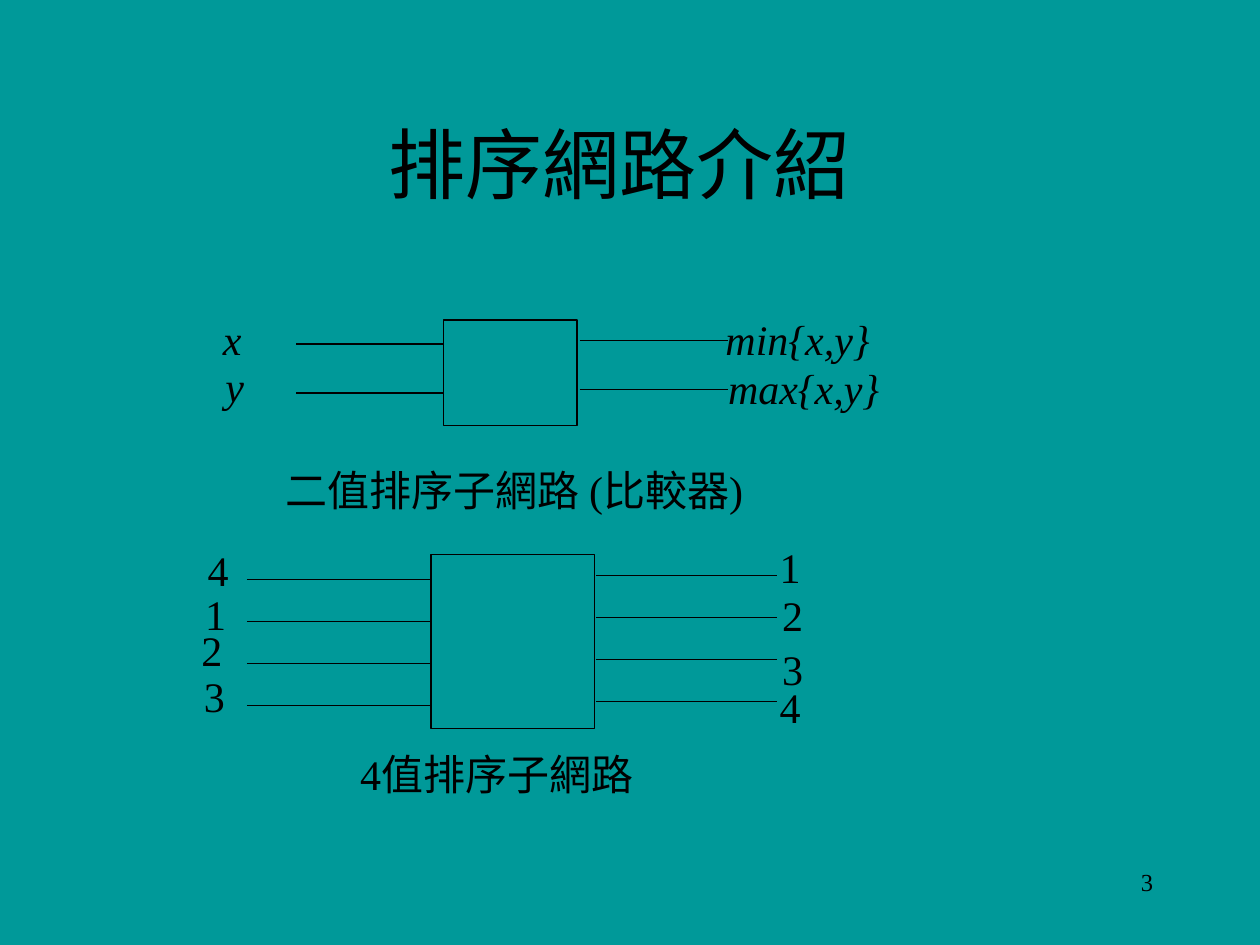
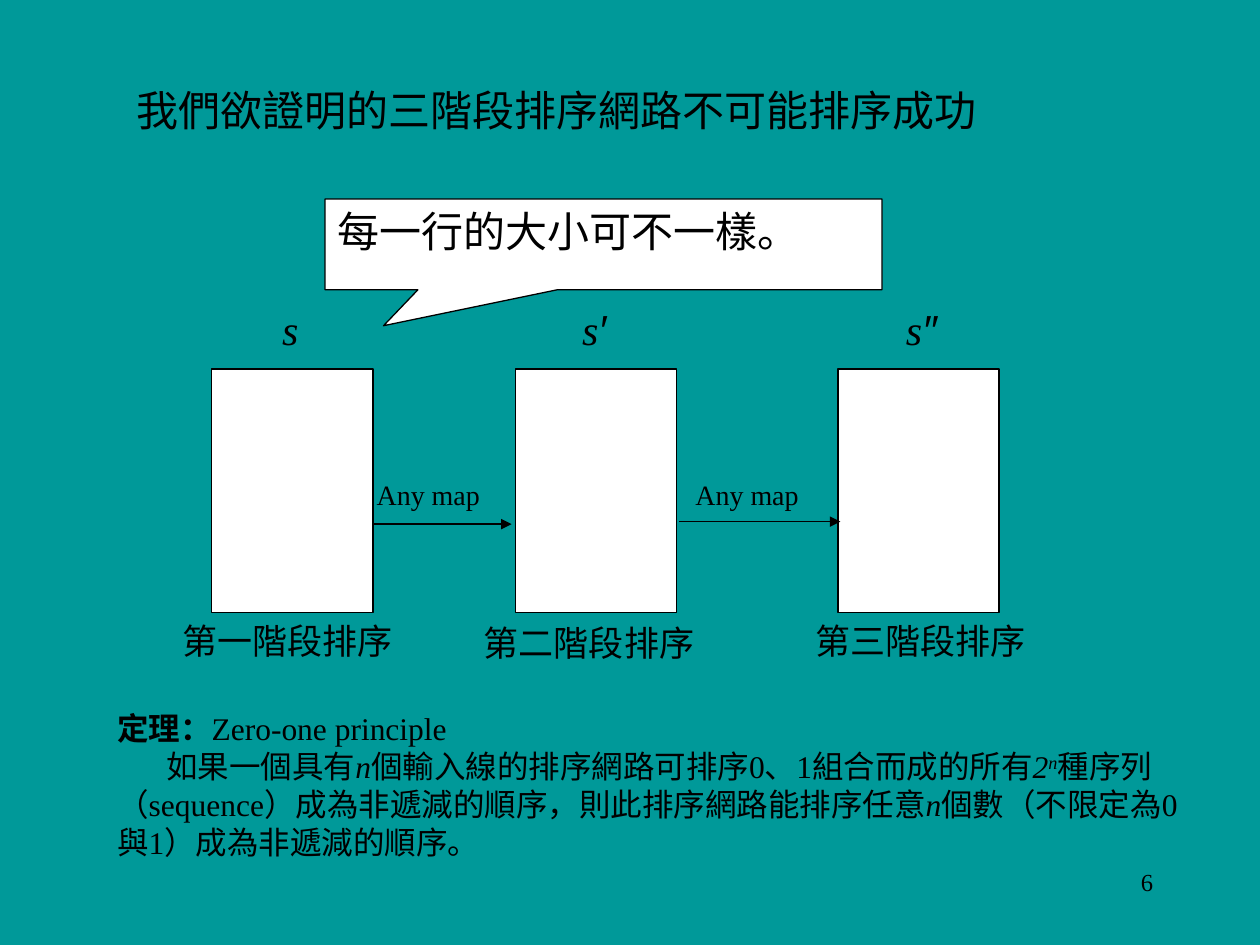
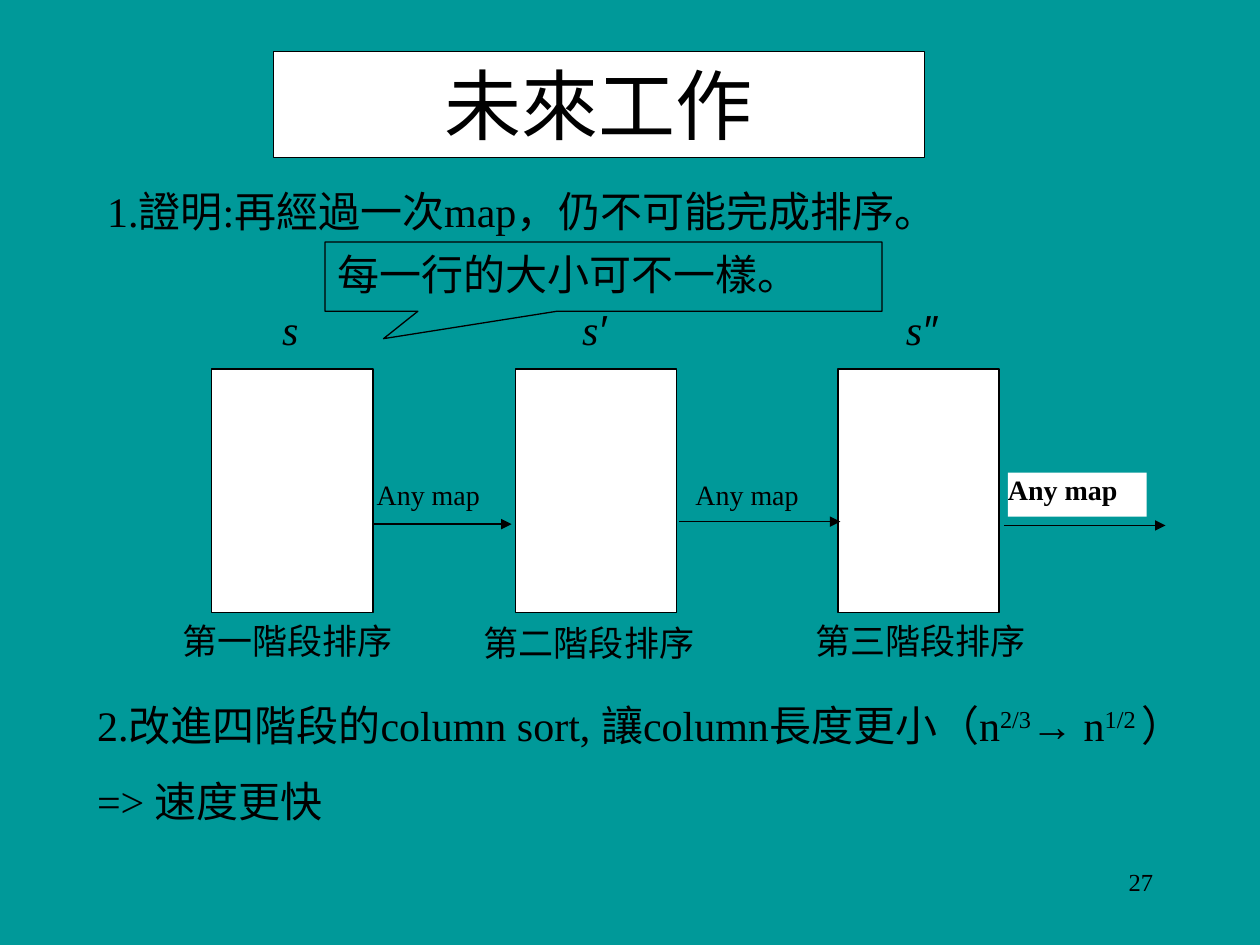
"""Build three slides on sorting networks and the column sort."""
from dataclasses import dataclass
from typing import NamedTuple

from lxml import etree
from pptx import Presentation
from pptx import util as u
from pptx.dml.color import RGBColor
from pptx.enum import shapes, text
from pptx.oxml.ns import qn
from pptx.slide import Slide

COLUMNS, ROWS = 100, 75
WIDTH, HEIGHT = u.Inches(10), u.Inches(7.5)
LEFT, CENTER, RIGHT, JUSTIFY = (
    text.PP_ALIGN.LEFT, text.PP_ALIGN.CENTER, text.PP_ALIGN.RIGHT, text.PP_ALIGN.JUSTIFY)


@dataclass(frozen=True)
class Theme:
    """Colours, fonts and type sizes of the deck."""
    ground: RGBColor = RGBColor(0x00, 0x99, 0x99)
    ink: RGBColor = RGBColor(0x00, 0x00, 0x00)
    paper: RGBColor = RGBColor(0xFF, 0xFF, 0xFF)
    serif: str = "Times New Roman"
    sans: str = "Arial"
    title: int = 44
    body: int = 24
    stage: int = 20
    theorem: int = 18
    note: int = 16
    number: int = 14
    stroke: float = 0.75


THEME = Theme()


class Place(NamedTuple):
    """Left, top, width and height in grid columns and rows."""
    x: float
    y: float
    w: float
    h: float


class Span(NamedTuple):
    """A stretch of text with one format."""
    text: str
    italic: bool = False
    bold: bool = False
    raised: bool = False
    font: str = THEME.serif


class Label(NamedTuple):
    """A short text and its top left corner."""
    text: str
    x: float
    y: float


@dataclass(frozen=True)
class Network:
    """A sorting box with its wires, labels and caption."""
    box: Place
    left: tuple[float, float]
    right: tuple[float, float]
    left_y: float
    right_y: float
    pitch: float
    inputs: tuple[Label, ...]
    outputs: tuple[Label, ...]
    caption: Label
    italic: bool


@dataclass(frozen=True)
class Stage:
    """A sorting stage with its symbol and caption."""
    x: float
    symbol_x: float
    prime: str
    caption: Label


NETWORKS = (
    Network(Place(35.2, 25.4, 10.6, 8.4), (23.5, 35.2), (46, 57.8), 27.3, 27, 3.9,
            (Label("x", 16.7, 24.4), Label("y", 16.9, 28.1)),
            (Label("min{x,y}", 56.6, 24.4), Label("max{x,y}", 56.8, 28.3)),
            Label("二值排序子網路 (比較器)", 21.7, 36.4), True),
    Network(Place(34.2, 44, 13, 13.8), (19.6, 34.1), (47.3, 61.7), 46, 45.7, 3.33,
            (Label("4", 15.5, 42.7), Label("1", 15.3, 46.2),
             Label("2", 15, 49.1), Label("3", 15.2, 52.7)),
            (Label("1", 60.9, 42.5), Label("2", 61.1, 46.3),
             Label("3", 61.1, 50.6), Label("4", 60.9, 53.6)),
            Label("4值排序子網路", 27.6, 58.9), False),
)
STAGES = (
    Stage(16.8, 22.4, "", Label("第一階段排序", 14.5, 49.2)),
    Stage(40.9, 46.2, "′", Label("第二階段排序", 38.4, 49.3)),
    Stage(66.5, 71.9, "″", Label("第三階段排序", 64.7, 49.2)),
)
THEOREM = (
    (Span("定理：", bold=True), Span("Zero-one principle")),
    (Span("如果一個具有"), Span("n", italic=True),
     Span("個輸入線的排序網路可排序0、1組合而成的所有"),
     Span("2", italic=True), Span("n", italic=True, raised=True),
     Span("種序列（sequence）成為非遞減的順序，則此排序網路能排序任意"),
     Span("n", italic=True), Span("個數（不限定為0與1）成為非遞減的順序。")),
)
IMPROVEMENT = (
    (Span("2.改進四階段的column sort, 讓column長度更小（n"), Span("2/3", raised=True),
     Span("→", font=THEME.sans), Span(" n"), Span("1/2 ", raised=True), Span("）")),
    (Span("=> 速度更快"),),
)


def across(columns: float) -> int:
    """Turn grid columns into a length."""
    return round(WIDTH * columns / COLUMNS)


def down(rows: float) -> int:
    """Turn grid rows into a length."""
    return round(HEIGHT * rows / ROWS)


def put(shape, place: Place) -> None:
    """Move and size a shape on the grid."""
    shape.left, shape.top = across(place.x), down(place.y)
    shape.width, shape.height = across(place.w), down(place.h)


def write(shape, content, *, size: float = THEME.body, align=LEFT, inset: bool = True,
          middle: bool = False, italic: bool = False, bold: bool = False,
          gap: float = 0, indents: tuple[float, ...] = ()) -> None:
    """Fill a shape with a string or with paragraphs of spans."""
    paragraphs = ((Span(content, italic, bold),),) if isinstance(content, str) else content
    frame = shape.text_frame
    frame.word_wrap = True
    frame.auto_size = text.MSO_AUTO_SIZE.NONE
    frame.vertical_anchor = text.MSO_ANCHOR.MIDDLE if middle else text.MSO_ANCHOR.TOP
    frame.margin_left = frame.margin_right = u.Inches(0.1 if inset else 0)
    frame.margin_top = frame.margin_bottom = u.Inches(0.05 if inset else 0)
    for index, spans in enumerate(paragraphs):
        para = frame.add_paragraph() if index else frame.paragraphs[0]
        para.alignment = align
        para.space_before = u.Pt(gap if index else 0)
        props = para._p.get_or_add_pPr()
        props.set("marL", "0")
        props.set("indent", str(across(indents[index]) if indents else 0))
        etree.SubElement(props, qn("a:buNone"))
        for span in spans:
            run = para.add_run()
            run.text = span.text
            font = run.font
            font.name, font.size = span.font, u.Pt(size)
            font.bold, font.italic = span.bold, span.italic
            font.color.rgb = THEME.ink
            if span.raised:
                run._r.get_or_add_rPr().set("baseline", "30000")


def add_text(page: Slide, content, place: Place, **style) -> None:
    """Add a text box."""
    box = page.shapes.add_textbox(0, 0, 0, 0)
    put(box, place)
    write(box, content, **style)


def paint(shape, *, filled: bool = True, outlined: bool = True) -> None:
    """Give a shape the paper fill and the ink outline."""
    if filled:
        shape.fill.solid()
        shape.fill.fore_color.rgb = THEME.paper
    else:
        shape.fill.background()
    if outlined:
        shape.line.color.rgb = THEME.ink
        shape.line.width = u.Pt(THEME.stroke)
    else:
        shape.line.fill.background()


def add_box(page: Slide, place: Place, *, kind=shapes.MSO_SHAPE.RECTANGLE,
            filled: bool = True, outlined: bool = True):
    """Add a flat preset shape."""
    box = page.shapes.add_shape(kind, 0, 0, 0, 0)
    put(box, place)
    box.shadow.inherit = False
    paint(box, filled=filled, outlined=outlined)
    return box


def add_wire(page: Slide, start: float, end: float, y: float, *, arrow: bool = False) -> None:
    """Add a level line, with an arrowhead if asked."""
    wire = page.shapes.add_connector(
        shapes.MSO_CONNECTOR.STRAIGHT, across(start), down(y), across(end), down(y))
    wire.line.color.rgb = THEME.ink
    wire.line.width = u.Pt(THEME.stroke)
    props = wire._element.spPr
    if arrow:
        etree.SubElement(props.find(qn("a:ln")), qn("a:tailEnd"), type="triangle")
    etree.SubElement(props, qn("a:effectLst"))


def add_page(deck, layout: int, number: int) -> Slide:
    """Add a slide with its page number."""
    page = deck.slides.add_slide(deck.slide_layouts[layout])
    add_text(page, str(number), Place(71.7, 68.3, 20.8, 5), size=THEME.number, align=RIGHT)
    return page


def fill_holder(page: Slide, index: int, content, place: Place, **style):
    """Move a template placeholder and write in it."""
    holder = page.placeholders[index]
    put(holder, place)
    write(holder, content, **style)
    return holder


def draw_network(page: Slide, network: Network) -> None:
    """Draw one sorting network."""
    add_box(page, network.box, filled=False)
    for index in range(len(network.inputs)):
        offset = index * network.pitch
        add_wire(page, *network.left, network.left_y + offset)
        add_wire(page, *network.right, network.right_y + offset)
    for labels, width in ((network.inputs, 11.5), (network.outputs, 20)):
        for label in labels:
            add_text(page, label.text, Place(label.x, label.y, width, 5), italic=network.italic)
    caption = network.caption
    add_text(page, caption.text, Place(caption.x, caption.y, 46, 7))


def draw_stages(page: Slide, callout: Place, *, filled: bool) -> None:
    """Draw the three stages, the maps between them and the callout."""
    for stage in STAGES:
        add_box(page, Place(stage.x, 29.3, 12.8, 19.3))
        symbol = [Span("s", italic=True)]
        if stage.prime:
            symbol.append(Span(stage.prime, italic=True, font=THEME.sans))
        add_text(page, (symbol,), Place(stage.symbol_x, 24.1, 4.3, 5.3), inset=False)
        caption = stage.caption
        add_text(page, caption.text, Place(caption.x, caption.y, 18.8, 3.8),
                 size=THEME.stage, inset=False)
    for start, end, y, label_x in ((29.6, 40.6, 41.6, 29.9), (53.9, 66.7, 41.4, 55.2)):
        add_wire(page, start, end, y, arrow=True)
        add_text(page, "Any map", Place(label_x, 37.9, 11, 3.5), size=THEME.note, inset=False)
    bubble = add_box(page, callout, kind=shapes.MSO_SHAPE.RECTANGULAR_CALLOUT, filled=filled)
    bubble.adjustments[0], bubble.adjustments[1] = -0.395, 0.896
    write(bubble, "每一行的大小可不一樣。", align=JUSTIFY)


def build_introduction(deck) -> None:
    """Build the slide that introduces sorting networks."""
    page = add_page(deck, 5, 3)
    fill_holder(page, 0, "排序網路介紹", Place(13.3, 6.7, 71.7, 12.5),
                size=THEME.title, align=CENTER, middle=True)
    for network in NETWORKS:
        draw_network(page, network)


def build_theorem(deck) -> None:
    """Build the slide with the zero-one principle."""
    page = add_page(deck, 1, 6)
    fill_holder(page, 0, "我們欲證明的三階段排序網路不可能排序成功",
                Place(10.8, 6.7, 76.7, 5), inset=False)
    draw_stages(page, Place(25.8, 15.8, 44.2, 7.2), filled=True)
    fill_holder(page, 1, THEOREM, Place(8.3, 55.8, 87.5, 13),
                size=THEME.theorem, indents=(0, 3.9))


def build_future(deck) -> None:
    """Build the slide on future work."""
    page = add_page(deck, 3, 27)
    title = fill_holder(page, 0, "未來工作", Place(21.7, 4.1, 51.7, 8.4),
                        size=THEME.title, align=CENTER)
    paint(title)
    fill_holder(page, 1, "1.證明:再經過一次map，仍不可能完成排序。", Place(7.5, 14.2, 67.5, 9))
    draw_stages(page, Place(25.8, 19.2, 44.2, 5.5), filled=False)
    add_wire(page, 79.7, 92.5, 41.7, arrow=True)
    extra = add_box(page, Place(80, 37.5, 11, 3.5), outlined=False)
    write(extra, "Any map", size=THEME.note, inset=False, bold=True)
    fill_holder(page, 2, IMPROVEMENT, Place(6.7, 55, 90.8, 15.1), gap=15)


def main() -> None:
    """Build and save the deck."""
    deck = Presentation()
    deck.slide_width, deck.slide_height = WIDTH, HEIGHT
    ground = deck.slide_master.background.fill
    ground.solid()
    ground.fore_color.rgb = THEME.ground
    build_introduction(deck)
    build_theorem(deck)
    build_future(deck)
    deck.save("out.pptx")


if __name__ == "__main__":
    main()
